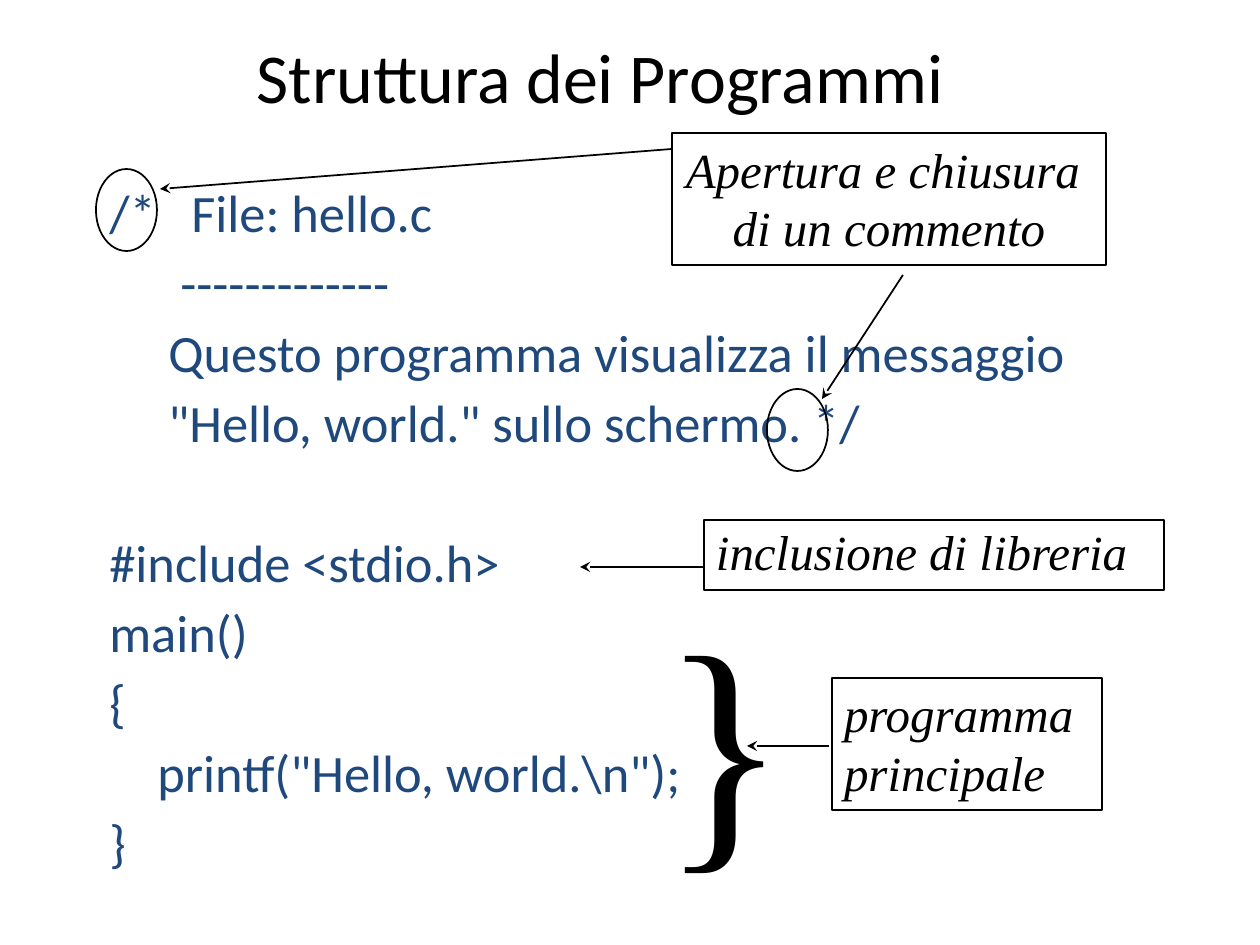
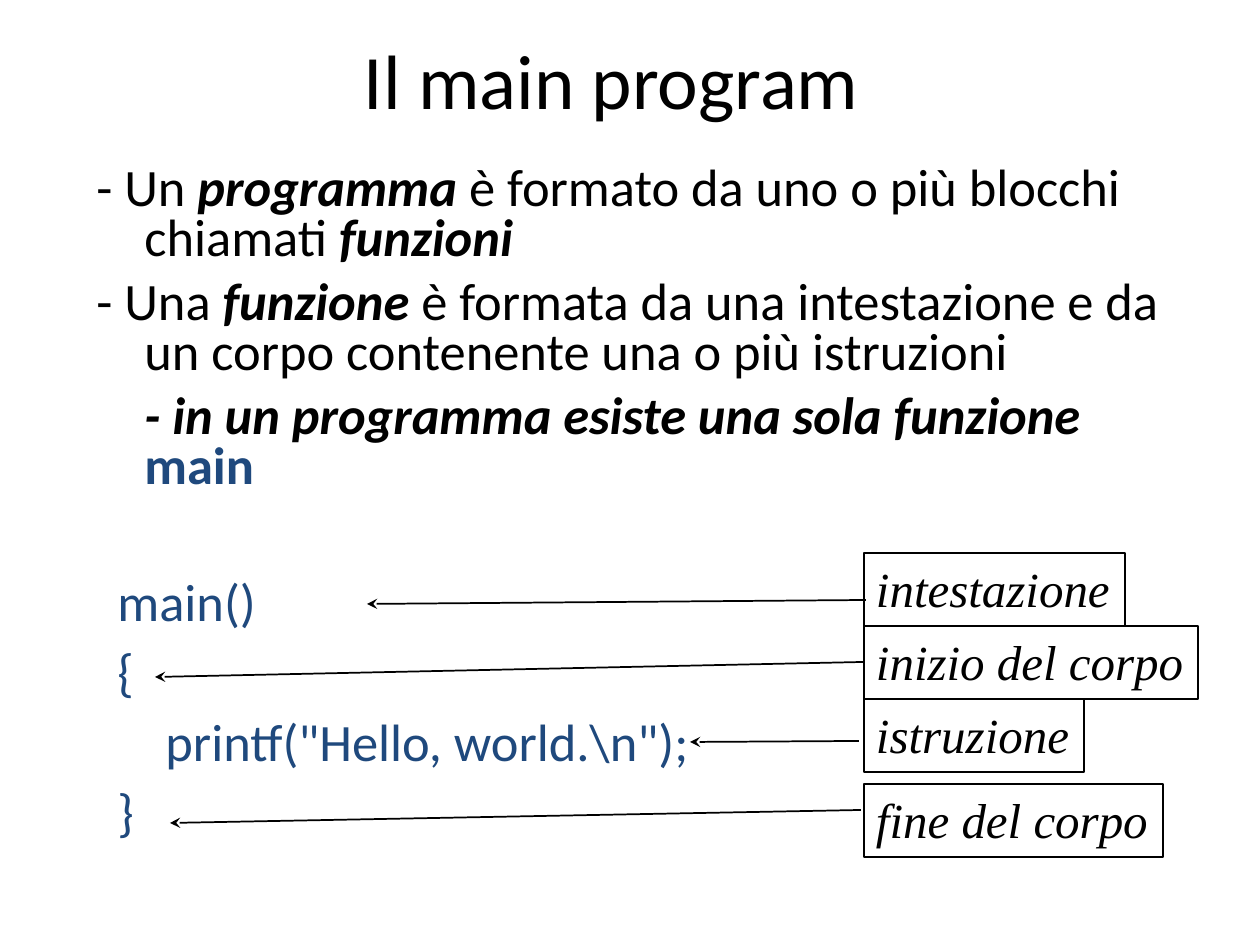
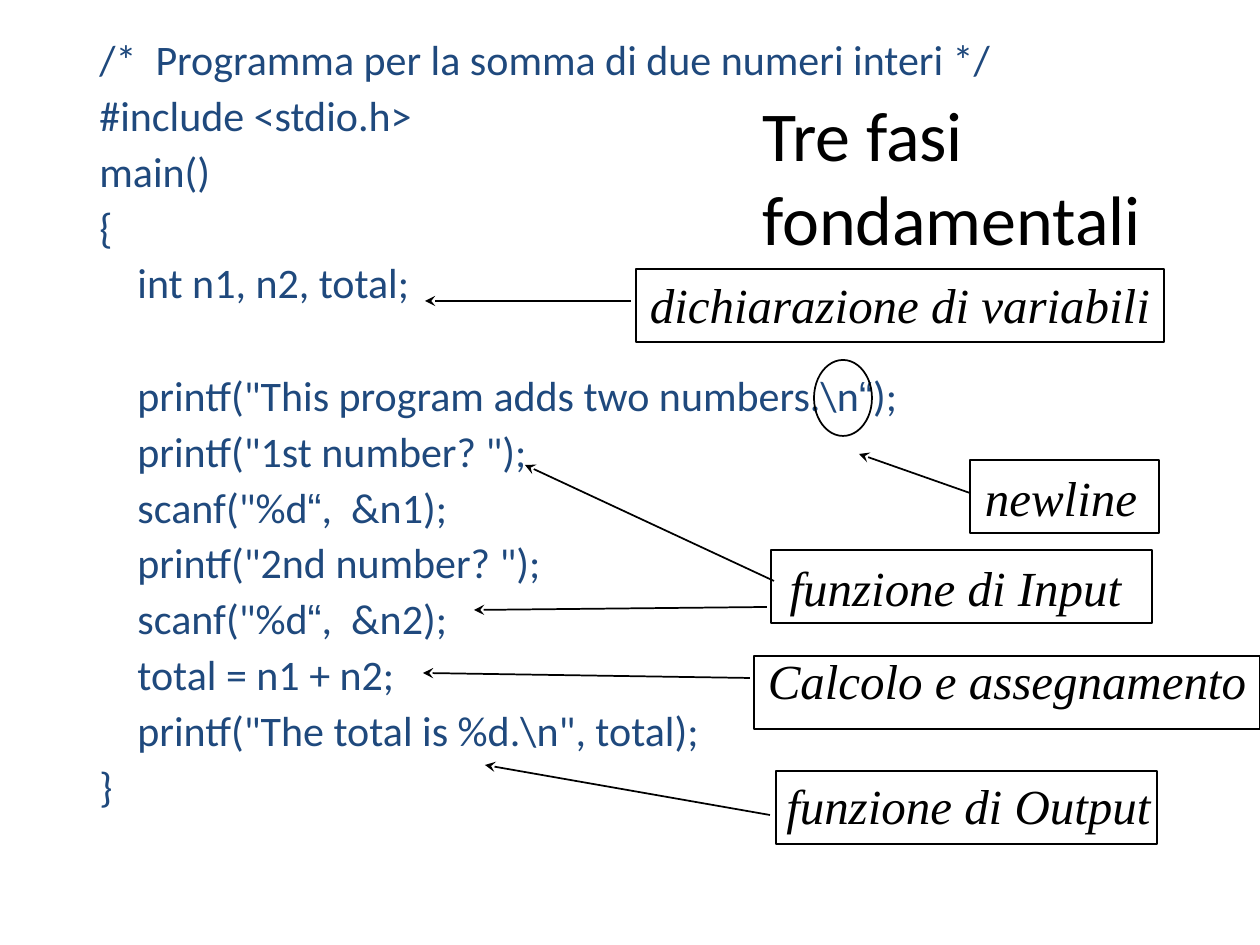
from pptx import Presentation
from pptx.dml.color import RGBColor
from pptx.enum.shapes import MSO_CONNECTOR, MSO_SHAPE
from pptx.enum.text import MSO_ANCHOR, PP_ALIGN
from pptx.oxml.ns import qn
from pptx.util import Emu, Pt
from lxml.etree import SubElement

PX = 914400 // 126
INK = {"black": "000000", "code": "1F497D"}
SANS, SERIF, QUOTE = "Calibri", "Times New Roman", "Arial"
LEFT, MID = PP_ALIGN.LEFT, PP_ALIGN.CENTER
STRONG = {"bold": True, "italic": True}

# Code lines: (indent in px, text); None leaves one line free.
# Labels: (text lines, box, alignment, options); arrows: (x1, y1, x2, y2).
SLIDES = [
    {
        "title": ("Struttura dei Programmi", (213, 20, 774, 111), 40, MID),
        "code": ((97, 181, 984, 707), 30, [
            (0, "/*   File: hello.c"),
            (71, "-------------"),
            (59, "Questo programma visualizza il messaggio"),
            (59, '"Hello, world." sullo schermo. */'),
            None,
            (0, "#include <stdio.h>"),
            (0, "main()"),
            (0, "{"),
            (48, r'printf("Hello, world.\n");'),
            (0, "}"),
        ]),
        "labels": [
            (["Apertura e chiusura ", "di un commento"], (672, 133, 434, 132), MID, {}),
            (["inclusione di libreria"], (704, 520, 460, 70), LEFT, {"lead": 0.95}),
            (["programma principale"], (832, 678, 270, 132), LEFT, {}),
        ],
        "arrows": [(672, 149, 160, 189), (903, 275, 822, 399),
                   (703, 567, 580, 567), (829, 746, 747, 746)],
        "rings": [(96, 169, 61, 82), (767, 389, 61, 82)],
        "brace": (649, 570, 151, 328),
    },
    {
        "title": ("Il main program", (199, 24, 825, 110), 44, MID),
        "points": ((84, 160, 1092, 375), [
            (-48, [("- Un ", {}), ("programma", STRONG),
                   (" è formato da uno o più blocchi chiamati ", {}),
                   ("funzioni", STRONG)]),
            (-48, [("- Una ", {}), ("funzione", STRONG),
                   (" è formata da una intestazione e da un corpo contenente"
                    " una o più istruzioni", {})]),
            (0, [("- in un programma esiste una sola funzione ", STRONG),
                 ("main", {"bold": True, "ink": "code"})]),
        ]),
        "code": ((105, 570, 602, 284), 30, [
            (0, "main()"),
            (0, "{"),
            (48, r'printf("Hello, world.\n");'),
            (0, "}"),
        ]),
        "labels": [
            (["intestazione"], (864, 553, 261, 73), LEFT, {}),
            (["inizio del corpo"], (864, 626, 334, 73), LEFT, {}),
            (["istruzione"], (864, 699, 220, 73), LEFT, {}),
            (["fine del corpo"], (864, 784, 299, 73), LEFT, {}),
        ],
        "arrows": [(866, 600, 367, 604), (864, 662, 155, 677),
                   (859, 741, 690, 742), (861, 810, 170, 823)],
    },
    {
        "title": ("Tre fasi fondamentali", (750, 78, 447, 194), 40, LEFT),
        "code": ((87, 33, 1065, 848), 24, [
            (0, "/*  Programma per la somma di due numeri interi */"),
            (0, "#include <stdio.h>"),
            (0, "main()"),
            (0, "{"),
            (38, "int n1, n2, total;"),
            None,
            (38, r'printf("This program adds two numbers.\n“);'),
            (38, 'printf("1st number? ");'),
            (38, 'scanf("%d“,  &n1);'),
            (38, 'printf("2nd number? ");'),
            (38, 'scanf("%d“,  &n2);'),
            (38, "total = n1 + n2;"),
            (38, r'printf("The total is %d.\n", total);'),
            (0, "}"),
        ]),
        "labels": [
            (["dichiarazione di variabili"], (636, 269, 528, 73), MID, {}),
            (["newline"], (970, 460, 189, 73), LEFT, {"dx": 3, "dy": 2}),
            (["funzione di Input"], (771, 550, 381, 73), MID, {"dx": -6, "dy": 2}),
            (["Calcolo e assegnamento"], (754, 656, 506, 73), MID, {"dy": -11}),
            (["funzione di Output"], (776, 771, 381, 73), MID, {"dx": 2, "dy": -1}),
        ],
        "arrows": [(631, 301, 425, 301), (774, 581, 525, 465),
                   (767, 607, 474, 610), (750, 678, 423, 673),
                   (970, 493, 859, 454), (770, 815, 485, 765)],
        "rings": [(814, 360, 58, 76)],
    },
]


def px(*nums):
    return [Emu(n * PX) for n in nums]


def color(ink):
    return RGBColor.from_string(INK[ink])


def style(para, size, face=SANS, ink="black", align=LEFT):
    para.alignment = align
    para.font.size, para.font.name = Pt(size), face
    para.font.color.rgb = color(ink)


def margins(para, left, first=0):
    """Set the left margin and the first line's indent, in px."""
    prop = para._p.get_or_add_pPr()
    prop.set("marL", str(left * PX))
    prop.set("indent", str(first * PX))


def paras(frame, count):
    return [frame.paragraphs[0]] + [frame.add_paragraph() for _ in range(count - 1)]


def add_text(slide, box, wrap=True):
    frame = slide.shapes.add_textbox(*px(*box)).text_frame
    frame.word_wrap = wrap
    return frame


def add_title(slide, text, box, size, align):
    frame = add_text(slide, box)
    frame.vertical_anchor = MSO_ANCHOR.MIDDLE
    para = frame.paragraphs[0]
    para.text = text
    style(para, size, align=align)


def add_code(slide, box, size, lines):
    frame = add_text(slide, box)
    gap = size / 4
    pitch = gap + size * 1.22 * 0.9
    shown = iter(paras(frame, len(lines) - lines.count(None)))
    before = gap
    for line in lines:
        if line is None:
            before += pitch
            continue
        para, (indent, text) = next(shown), line
        style(para, size, ink="code")
        margins(para, indent)
        para.line_spacing, para.space_before = 0.9, Pt(before)
        before = gap
        head, quote, rest = text.partition("“")
        for part in filter(None, (head, quote, rest)):
            run = para.add_run()
            run.text = part
            if part == "“":
                run.font.name = QUOTE


def add_points(slide, box, points):
    frame = add_text(slide, box)
    for para, (first, parts) in zip(paras(frame, len(points)), points):
        style(para, 30)
        margins(para, 48, first)
        para.line_spacing, para.space_before = 0.8, Pt(7.5)
        for text, look in parts:
            run = para.add_run()
            run.text = text
            run.font.bold, run.font.italic = look.get("bold"), look.get("italic")
            if "ink" in look:
                run.font.color.rgb = color(look["ink"])


def outline(slide, kind, box):
    """Add an unfilled shape with a thin black edge."""
    shape = slide.shapes.add_shape(kind, *px(*box))
    shape.shadow.inherit = False
    shape.fill.background()
    shape.line.color.rgb = color("black")
    shape.line.width = Pt(1)
    return shape


def add_label(slide, lines, box, align, dx=0, dy=0, lead=None):
    frame = outline(slide, MSO_SHAPE.RECTANGLE, box).text_frame
    frame.word_wrap = align == LEFT
    frame.vertical_anchor = MSO_ANCHOR.TOP
    frame.margin_left, frame.margin_right, frame.margin_top = px(12 + dx, 12 - dx, 6 + dy)
    for para, text in zip(paras(frame, len(lines)), lines):
        para.text = text
        style(para, 28, SERIF, align=align)
        para.font.italic = True
        para.line_spacing = lead


def add_arrow(slide, ends):
    link = slide.shapes.add_connector(MSO_CONNECTOR.STRAIGHT, *px(*ends))
    link.line.color.rgb = color("black")
    link.line.width = Pt(1)
    SubElement(link.line._get_or_add_ln(), qn("a:tailEnd"), type="stealth")
    SubElement(link._element.spPr, qn("a:effectLst"))


def add_brace(slide, box):
    para = add_text(slide, box, wrap=False).paragraphs[0]
    para.text = "}"
    style(para, 150, SERIF, align=MID)


def main():
    deck = Presentation()
    deck.slide_width, deck.slide_height = px(1260, 945)
    for data in SLIDES:
        slide = deck.slides.add_slide(deck.slide_layouts[6])
        add_title(slide, *data["title"])
        if "points" in data:
            add_points(slide, *data["points"])
        add_code(slide, *data["code"])
        for lines, box, align, opts in data["labels"]:
            add_label(slide, lines, box, align, **opts)
        for ends in data["arrows"]:
            add_arrow(slide, ends)
        for box in data.get("rings", []):
            outline(slide, MSO_SHAPE.OVAL, box)
        if "brace" in data:
            add_brace(slide, data["brace"])
    deck.save("out.pptx")


if __name__ == "__main__":
    main()
